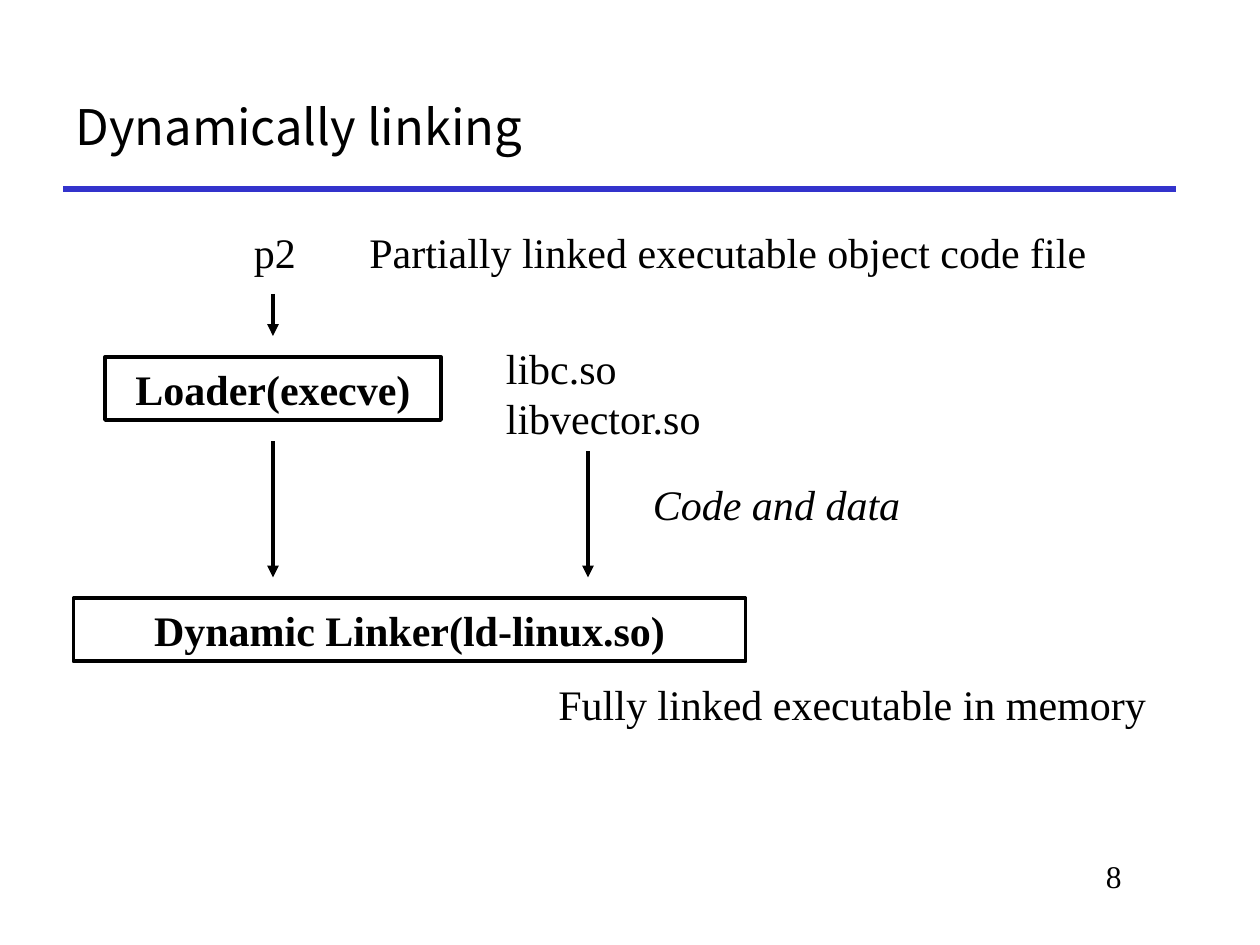
from lxml import etree
from pptx import Presentation, util as u
from pptx.dml.color import RGBColor
from pptx.enum import shapes, text
from pptx.oxml.ns import qn

BLACK = RGBColor(0x00, 0x00, 0x00)
BLUE = RGBColor(0x33, 0x33, 0xCC)
SERIF = "Times New Roman"
SANS = "Noto Sans CJK KR"
LEFT, CENTER, RIGHT = text.PP_ALIGN.LEFT, text.PP_ALIGN.CENTER, text.PP_ALIGN.RIGHT

deck = Presentation()
deck.slide_width, deck.slide_height = u.Inches(10), u.Inches(7.5)
CELL = deck.slide_width / 120  # grid of 120 columns by 90 rows
page = deck.slides.add_slide(deck.slide_layouts[5])


def write(box, content, size=24, name=SERIF, bold=False, italic=False,
          align=LEFT, anchor=text.MSO_ANCHOR.TOP, wrap=True):
    frame = box.text_frame
    frame.text = content
    frame.word_wrap = wrap
    frame.auto_size = text.MSO_AUTO_SIZE.NONE
    frame.vertical_anchor = anchor
    for para in frame.paragraphs:
        para.alignment = align
        for span in para.runs:
            span.font.size, span.font.name = u.Pt(size), name
            span.font.bold, span.font.italic = bold, italic
            span.font.color.rgb = BLACK


def draw_line(*grid_ends, color=BLACK, width=2.25, arrow=True):
    line = page.shapes.add_connector(
        shapes.MSO_CONNECTOR.STRAIGHT, *[round(end * CELL) for end in grid_ends])
    line.line.color.rgb = color
    line.line.width = u.Pt(width)
    if arrow:
        etree.SubElement(line.line._get_or_add_ln(), qn("a:tailEnd"), type="triangle")
    etree.SubElement(line._element.spPr, qn("a:effectLst"))


# Title and its rule
title = page.shapes.title
title.left, title.top, title.width, title.height = [
    round(part * CELL) for part in (6, 6, 106, 12)]
write(title, "Dynamically linking", size=28, name=SANS, anchor=text.MSO_ANCHOR.MIDDLE)
draw_line(6, 18, 112, 18, color=BLUE, width=3, arrow=False)

# Labels: column, row, columns wide, rows high, wording, format
labels = [
    (23, 21, 6.5, 6, "p2", {"wrap": False}),
    (34, 21, 80, 6, "Partially linked executable object code file", {}),
    (47, 32, 22, 11, "libc.so\nlibvector.so", {}),
    (61, 45, 33, 6, "Code and data", {"italic": True}),
    (52, 64, 63, 6, "Fully linked executable in memory", {}),
    (91, 81, 17, 6, "8", {"size": 18, "align": RIGHT}),
]
for *place, content, style in labels:
    box = page.shapes.add_textbox(*[round(part * CELL) for part in place])
    write(box, content, **style)

# Program boxes
programs = [
    (10, 34, 32, 6, "Loader(execve)"),
    (7, 57, 64, 6, "Dynamic Linker(ld-linux.so)"),
]
for *place, content in programs:
    box = page.shapes.add_shape(
        shapes.MSO_SHAPE.RECTANGLE, *[round(part * CELL) for part in place])
    box.shadow.inherit = False
    box.fill.background()
    box.line.color.rgb = BLACK
    box.line.width = u.Pt(2.25)
    write(box, content, bold=True, align=CENTER)

# Downward arrows: column, first row, last row
for column, start, end in [(26, 28, 32), (26, 42, 55), (56, 43, 55)]:
    draw_line(column, start, column, end)

deck.save("out.pptx")
